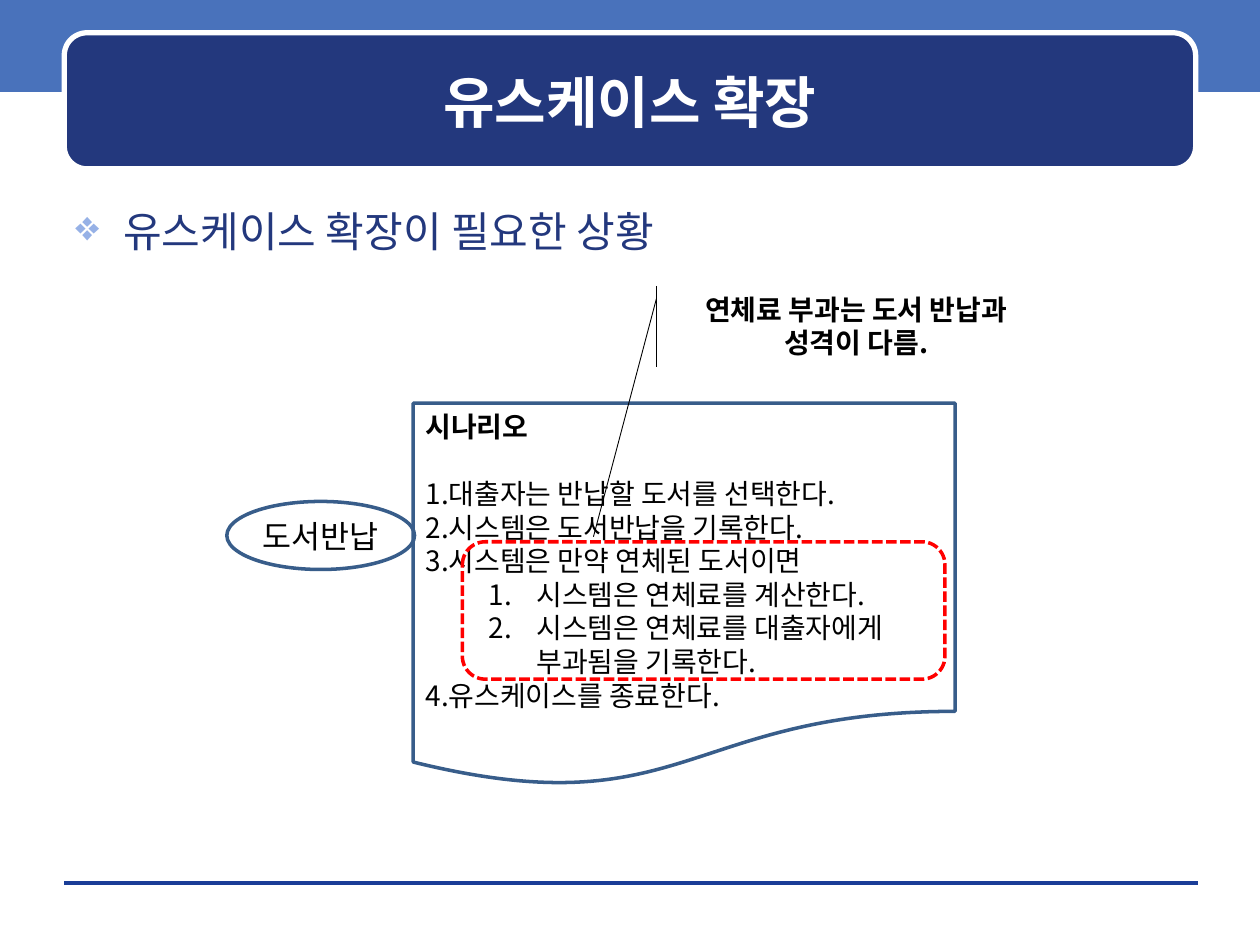
import pptx
import pptx.util
import pptx.dml.color
import pptx.enum.dml
import pptx.enum.shapes
import pptx.enum.text
from lxml import etree
from pptx.oxml.ns import qn

Inches, Pt = pptx.util.Inches, pptx.util.Pt
SHAPE = pptx.enum.shapes.MSO_SHAPE
ALIGN = pptx.enum.text.PP_ALIGN
ANCHOR = pptx.enum.text.MSO_ANCHOR

FONT = "Noto Sans CJK KR"
NAVY, OUTLINE, BLACK, WHITE = "23387D", "385D8A", "000000", "FFFFFF"

TITLE = "유스케이스 확장"
TOPIC = "유스케이스 확장이 필요한 상황"
USE_CASE = "도서반납"
REMARK = "연체료 부과는 도서 반납과 성격이 다름."
SCENARIO = "시나리오"
STEPS = [  # (level, text)
    (0, "대출자는 반납할 도서를 선택한다."),
    (0, "시스템은 도서반납을 기록한다."),
    (0, "시스템은 만약 연체된 도서이면"),
    (1, "시스템은 연체료를 계산한다."),
    (1, "시스템은 연체료를 대출자에게 부과됨을 기록한다."),
    (0, "유스케이스를 종료한다."),
]
STEP_INDENTS = [(0, 0), (0.88, -0.38)]  # left margin, first line, by level
STEP_SIZE = 16


def rgb(value):
    return pptx.dml.color.RGBColor.from_string(value)


def add_shape(slide, kind, box, fill=None, line=None, width=1, dash=None):
    shape = slide.shapes.add_shape(kind, *map(Inches, box))
    shape.shadow.inherit = False
    if fill:
        shape.fill.solid()
        shape.fill.fore_color.rgb = rgb(fill)
    else:
        shape.fill.background()
    if line:
        shape.line.color.rgb = rgb(line)
        shape.line.width = Pt(width)
        shape.line.dash_style = dash
    else:
        shape.line.fill.background()
    return shape


def set_frame(shape, anchor=ANCHOR.TOP, side=0.1):
    frame = shape.text_frame
    settings = {
        "word_wrap": True, "vertical_anchor": anchor,
        "margin_left": Inches(side), "margin_right": Inches(side),
        "margin_top": Inches(0.05), "margin_bottom": Inches(0.05),
    }
    for name, value in settings.items():
        setattr(frame, name, value)
    return frame


def write(paragraph, text, size, color=BLACK, bold=False, align=ALIGN.LEFT):
    paragraph.alignment = align
    run = paragraph.add_run()
    run.text = text
    for name, value in {"name": FONT, "size": Pt(size), "bold": bold}.items():
        setattr(run.font, name, value)
    run.font.color.rgb = rgb(color)
    east_asian = etree.SubElement(run.font._element, qn("a:ea"))
    east_asian.set("typeface", FONT)


def add_bullet(paragraph, color, tag, attributes, left=0, first=0):
    """Give the paragraph an indent and a coloured bullet or number."""
    properties = paragraph._p.get_or_add_pPr()
    properties.set("marL", str(Inches(left)))
    properties.set("indent", str(Inches(first)))
    bullet_color = etree.SubElement(properties, qn("a:buClr"))
    etree.SubElement(bullet_color, qn("a:srgbClr")).set("val", color)
    bullet = etree.SubElement(properties, qn(tag))
    for name, value in attributes.items():
        bullet.set(name, value)


def add_header_and_footer(slide):
    add_shape(slide, SHAPE.RECTANGLE, (0, -0.03, 10, 0.76), fill="4972BB")
    rule = slide.shapes.add_connector(
        pptx.enum.shapes.MSO_CONNECTOR.STRAIGHT,
        Inches(0.51), Inches(7.01), Inches(9.51), Inches(7.01))
    rule.line.color.rgb = rgb("1A3D97")
    rule.line.width = Pt(0)
    etree.SubElement(rule._element.spPr, qn("a:effectLst"))

    banner = add_shape(slide, SHAPE.ROUNDED_RECTANGLE, (0.51, 0.26, 8.98, 1.08),
                       fill=NAVY, line=WHITE, width=3)
    title = set_frame(banner, ANCHOR.MIDDLE)
    write(title.paragraphs[0], TITLE, 32, WHITE, True, ALIGN.CENTER)


def add_topic(slide):
    box = slide.shapes.add_textbox(*map(Inches, (0.5, 1.58, 9, 0.6)))
    topic = set_frame(box).paragraphs[0]
    add_bullet(topic, "96B1E6", "a:buChar", {"char": "❖"}, 0.38, -0.38)
    write(topic, TOPIC, 24, NAVY)


def add_scenario(slide):
    use_case = add_shape(slide, SHAPE.OVAL, (1.8, 3.98, 1.49, 0.54),
                         line=OUTLINE, width=2)
    write(set_frame(use_case, ANCHOR.MIDDLE, 0).paragraphs[0], USE_CASE, 18,
          align=ALIGN.CENTER)

    document = add_shape(slide, SHAPE.FLOWCHART_DOCUMENT, (3.28, 3.2, 4.3, 3.05),
                         line=OUTLINE, width=2)
    frame = set_frame(document)
    write(frame.paragraphs[0], SCENARIO, STEP_SIZE, bold=True)
    for number, (level, text) in enumerate(STEPS):
        step = frame.add_paragraph()
        step.level = level
        if number == 0:
            step.space_before = Pt(STEP_SIZE * 1.2)
        add_bullet(step, BLACK, "a:buAutoNum", {"type": "arabicPeriod"},
                   *STEP_INDENTS[level])
        write(step, text, STEP_SIZE)


def add_remark(slide):
    add_shape(slide, SHAPE.ROUNDED_RECTANGLE, (3.67, 4.3, 3.83, 1.09),
              line="FF0000", width=2,
              dash=pptx.enum.dml.MSO_LINE.SQUARE_DOT)
    left, top, width, height = box = (5.23, 2.27, 3.13, 0.64)
    callout = add_shape(slide, SHAPE.LINE_CALLOUT_1_ACCENT_BAR, box,
                        line=BLACK, width=0.5)
    bar, target = (5.21, 2.37), (4.71, 4.26)
    ratios = [ratio for x, y in (bar, target)
              for ratio in ((y - top) / height, (x - left) / width)]
    for index, ratio in enumerate(ratios):
        callout.adjustments[index] = ratio
    write(set_frame(callout).paragraphs[0], REMARK, 16, bold=True,
          align=ALIGN.CENTER)


def main():
    presentation = pptx.Presentation()
    presentation.slide_width, presentation.slide_height = Inches(10), Inches(7.5)
    slide = presentation.slides.add_slide(presentation.slide_layouts[6])
    add_header_and_footer(slide)
    add_topic(slide)
    add_scenario(slide)
    add_remark(slide)
    presentation.save("out.pptx")


if __name__ == "__main__":
    main()
